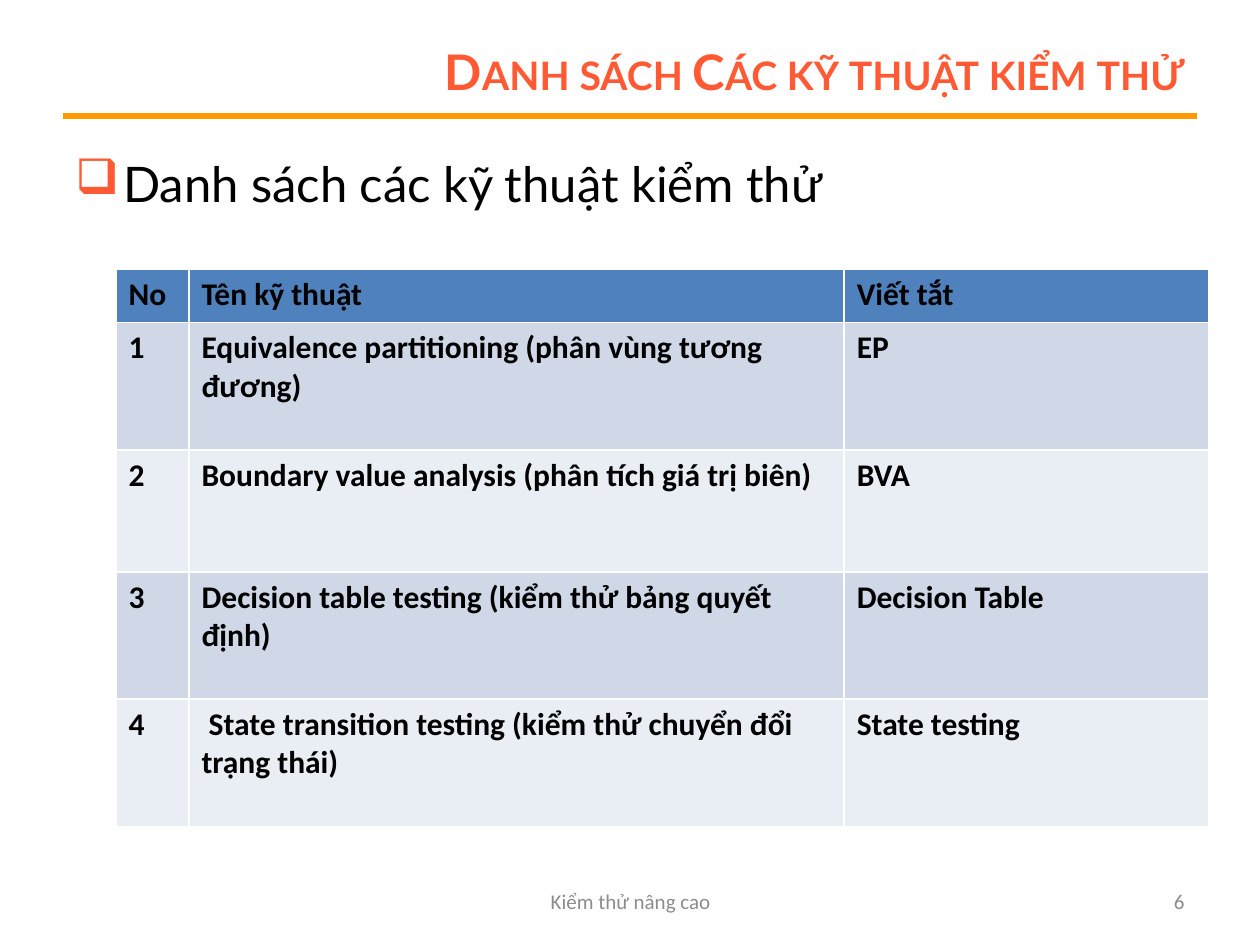
from dataclasses import dataclass

from lxml.etree import SubElement
from pptx import Presentation
from pptx.dml.color import RGBColor as RGB
from pptx.enum.shapes import MSO_CONNECTOR as Connector
from pptx.enum.text import MSO_ANCHOR as Anchor, MSO_AUTO_SIZE as AutoSize, PP_ALIGN as Align
from pptx.oxml.ns import qn
from pptx.util import Inches, Pt


@dataclass(frozen=True)
class Theme:
    heading_font: str = "Lato"
    text_font: str = "Calibri"
    accent: str = "FF5A33"
    rule: str = "FF9900"
    ink: str = "000000"
    muted: str = "8C8C8C"
    header_fill: str = "4F81BD"
    bands: tuple = ("D0D8E8", "E9EDF4")
    heading_size: int = 28
    table_size: int = 18
    footer_size: int = 12


THEME = Theme()
MARGIN, RIGHT = 0.5, 9.5
FOOTER_TOP, FOOTER_HEIGHT = 6.95, 0.4
TABLE_LEFT, TABLE_TOP = 0.92, 2.14
COLUMN_WIDTHS = (0.58, 5.2, 2.89)
ROW_HEIGHTS = (0.42, 1.01, 0.97, 1.01, 1.01)
SLIDE_NUMBER = "6"
HEADING = "Danh sách Các kỹ thuật kiểm thử"
TOPIC = "Danh sách các kỹ thuật kiểm thử"
TECHNIQUES = (
    ("Equivalence partitioning (phân vùng tương đương)", "EP"),
    ("Boundary value analysis (phân tích giá trị biên)", "BVA"),
    ("Decision table testing (kiểm thử bảng quyết định)", "Decision Table"),
    (" State transition testing (kiểm thử chuyển đổi trạng thái)", "State testing"),
)


def write(frame, text, font, size, color, bold=False, align=Align.LEFT):
    frame.text = text
    paragraph = frame.paragraphs[0]
    paragraph.alignment = align
    run = paragraph.runs[0]
    run.font.name, run.font.size, run.font.bold = font, Pt(size), bold
    run.font.color.rgb = RGB.from_string(color)
    return paragraph


def add_title(slide):
    title = slide.shapes.title
    title.left, title.top, title.width, title.height = map(
        Inches, (2.25, 0.3, RIGHT - 2.25, 0.53))
    frame = title.text_frame
    frame.vertical_anchor, frame.auto_size = Anchor.MIDDLE, AutoSize.NONE
    heading = write(frame, HEADING, THEME.heading_font, THEME.heading_size,
                    THEME.accent, bold=True, align=Align.RIGHT)
    heading.runs[0]._r.get_or_add_rPr().set("cap", "small")


def add_rule(slide, top):
    rule = slide.shapes.add_connector(
        Connector.STRAIGHT, *map(Inches, (MARGIN, top, RIGHT, top)))
    rule.line.color.rgb = RGB.from_string(THEME.rule)
    rule.line.width = Pt(3)
    SubElement(rule._element.spPr, qn("a:effectLst"))


def add_text_frame(slide, left, top, width, height, anchor):
    frame = slide.shapes.add_textbox(*map(Inches, (left, top, width, height))).text_frame
    frame.word_wrap, frame.vertical_anchor = True, anchor
    return frame


def add_bullet(paragraph, symbol, indent):
    properties = paragraph._p.get_or_add_pPr()
    properties.set("marL", str(Inches(indent)))
    properties.set("indent", str(-Inches(indent)))
    color = SubElement(properties, qn("a:buClr"))
    SubElement(color, qn("a:srgbClr"), val=THEME.accent)
    SubElement(properties, qn("a:buChar"), char=symbol)


def add_topic(slide):
    frame = add_text_frame(slide, MARGIN, 1.17, RIGHT - MARGIN, 6.18, Anchor.TOP)
    topic = write(frame, TOPIC, THEME.heading_font, THEME.heading_size, THEME.ink)
    topic.space_before = Pt(0.2 * THEME.heading_size)
    add_bullet(topic, "❑", 0.38)


def add_footer(slide, text, left, width, align):
    frame = add_text_frame(slide, left, FOOTER_TOP, width, FOOTER_HEIGHT, Anchor.MIDDLE)
    return write(frame, text, THEME.text_font, THEME.footer_size, THEME.muted, align=align)


def make_slide_number(paragraph):
    """Turn the paragraph's run into a live slide-number field."""
    field = paragraph.runs[0]._r
    field.tag = qn("a:fld")
    field.set("id", "{B6F15528-21DE-4FAA-801E-634DDDAF4B2B}")
    field.set("type", "slidenum")


def add_technique_table(slide):
    rows = [("No", "Tên kỹ thuật", "Viết tắt")]
    rows += [(str(number), *technique) for number, technique in enumerate(TECHNIQUES, 1)]
    table = slide.shapes.add_table(
        len(rows), len(COLUMN_WIDTHS),
        *map(Inches, (TABLE_LEFT, TABLE_TOP, sum(COLUMN_WIDTHS), sum(ROW_HEIGHTS)))).table
    for column, width in zip(table.columns, COLUMN_WIDTHS):
        column.width = Inches(width)
    for index, (row, height, texts) in enumerate(zip(table.rows, ROW_HEIGHTS, rows)):
        row.height = Inches(height)
        fill = THEME.bands[(index - 1) % 2] if index else THEME.header_fill
        for cell, text in zip(row.cells, texts):
            cell.fill.solid()
            cell.fill.fore_color.rgb = RGB.from_string(fill)
            write(cell.text_frame, text, THEME.text_font, THEME.table_size,
                  THEME.ink, bold=True)


def main():
    deck = Presentation()
    deck.slide_width, deck.slide_height = Inches(10), Inches(7.5)
    deck.element.set("firstSlideNum", SLIDE_NUMBER)
    slide = deck.slides.add_slide(deck.slide_layouts[5])
    add_rule(slide, 0.92)
    add_title(slide)
    add_footer(slide, "Kiểm thử nâng cao", 3.42, 3.17, Align.CENTER)
    make_slide_number(add_footer(slide, SLIDE_NUMBER, 7.17, RIGHT - 7.17, Align.RIGHT))
    add_topic(slide)
    add_technique_table(slide)
    deck.save("out.pptx")


if __name__ == "__main__":
    main()
